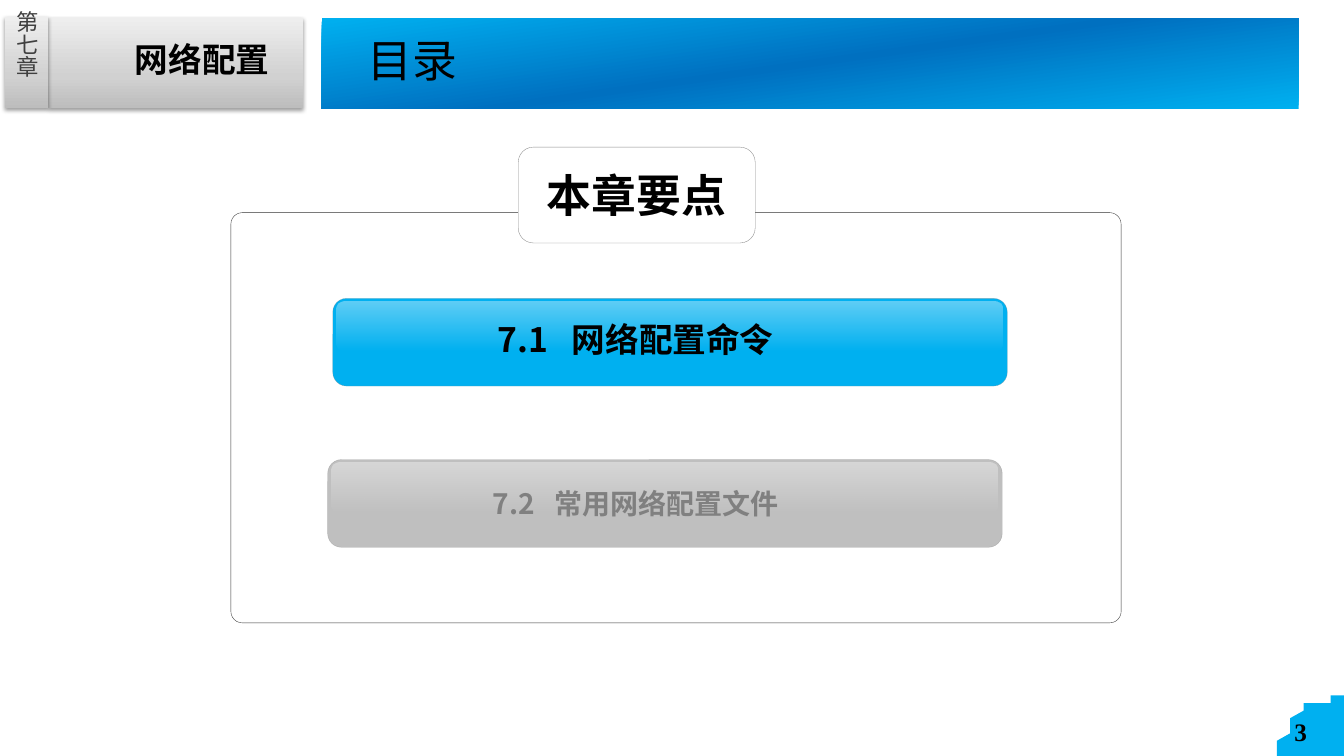
"""Build the chapter seven contents slide, with lengths in percent of the slide."""
import math

import pptx
import pptx.util
import pptx.dml.color
import pptx.enum.shapes
import pptx.enum.text
import pptx.oxml
import pptx.oxml.ns
from lxml import etree

THEME = {
    "font": "Noto Sans CJK SC", "number_font": "Times New Roman",
    "black": "000000", "white": "FFFFFF", "dark": "404040", "muted": "808080",
    "outline": "333333", "bar_outline": "969696", "cyan": "00B0F0", "grey": "BFBFBF",
    "silver": [(0, "BDBDBD", 100), (35, "D1D1D1", 100), (100, "EEEEEE", 100)],
    "ocean": [(0, "00B0F0", 100), (50, "0070C0", 100), (100, "00B0F0", 100)],
    "gloss": [(0, "FFFFFF", 38), (100, "FFFFFF", 0)],
    "heading": 32, "title": 24, "entry": 20, "number": 18, "side": 16,
}
SHAPES = pptx.enum.shapes.MSO_SHAPE
MIDDLE = pptx.enum.text.MSO_ANCHOR.MIDDLE
CENTER = pptx.enum.text.PP_ALIGN.CENTER
qn = pptx.oxml.ns.qn
rgb = pptx.dml.color.RGBColor.from_string

deck = pptx.Presentation()
deck.slide_width = pptx.util.Inches(13.33)
deck.slide_height = pptx.util.Inches(7.5)
page = deck.slides.add_slide(deck.slide_layouts[6])
column, row = deck.slide_width / 100, deck.slide_height / 100


def add_block(place, fill=None, angle=0, rounding=None, line=None, line_alpha=100):
    """Add a rectangle with a solid or gradient fill; rounding gives round corners."""
    left, top, width, height = place
    preset = SHAPES.RECTANGLE if rounding is None else SHAPES.ROUNDED_RECTANGLE
    block = page.shapes.add_shape(preset, int(left * column), int(top * row),
                                  int(width * column), int(height * row))
    block.shadow.inherit = False
    if rounding is not None:
        block.adjustments[0] = rounding
    if fill is None:
        block.fill.background()
    elif isinstance(fill, str):
        block.fill.solid()
        block.fill.fore_color.rgb = rgb(fill)
    else:
        block.fill.gradient()
        gradient = block._element.spPr.find(qn("a:gradFill"))
        stops = gradient.find(qn("a:gsLst"))
        for stop in list(stops):
            stops.remove(stop)
        for position, color, alpha in fill:
            stop = etree.SubElement(stops, qn("a:gs"), pos=str(position * 1000))
            tint = etree.SubElement(stop, qn("a:srgbClr"), val=color)
            etree.SubElement(tint, qn("a:alpha"), val=str(alpha * 1000))
        gradient.find(qn("a:lin")).set("ang", str(angle * 60000))
    if line is None:
        block.line.fill.background()
    else:
        block.line.width = pptx.util.Pt(0.25)
        block.line.color.rgb = rgb(line)
        tint = block.line._ln.find(".//" + qn("a:srgbClr"))
        etree.SubElement(tint, qn("a:alpha"), val=str(line_alpha * 1000))
    return block


def add_text(place, text, size, color="black", bold=True, font="font", inset=0.1, tab=None):
    """Add a one-line text box and return it."""
    left, top, width, height = place
    box = page.shapes.add_textbox(int(left * column), int(top * row),
                                  int(width * column), int(height * row))
    frame = box.text_frame
    frame.word_wrap = True
    frame.margin_left = frame.margin_right = pptx.util.Inches(inset)
    frame.margin_top = frame.margin_bottom = pptx.util.Inches(inset / 2)
    frame.text = text
    para = frame.paragraphs[0]
    if tab is not None:
        tabs = etree.SubElement(para._p.get_or_add_pPr(), qn("a:tabLst"))
        etree.SubElement(tabs, qn("a:tab"), pos=str(int(tab * column)), algn="l")
    for span in para.runs:
        span.font.name = THEME[font]
        span.font.size = pptx.util.Pt(THEME[size])
        span.font.bold = bold
        span.font.color.rgb = rgb(THEME[color])
        etree.SubElement(span._r.get_or_add_rPr(), qn("a:ea"), typeface=THEME[font])
    return box


for place in [(3.6, 2.4, 18.98, 11.87), (0.38, 2.27, 3.23, 12)]:
    plate = add_block(place, THEME["silver"], 270)
    effects = plate._element.spPr.find(qn("a:effectLst"))
    shadow = etree.SubElement(effects, qn("a:outerShdw"), blurRad="39370", dist="20320",
                              dir="5400000", rotWithShape="0")
    tint = etree.SubElement(shadow, qn("a:srgbClr"), val=THEME["black"])
    etree.SubElement(tint, qn("a:alpha"), val="38000")

add_text((9.3, 4.53, 13.28, 7.07), "网络配置", "title")
chapter = add_text((0.9, 1.47, 2.18, 14), "第七章", "side", "dark", bold=False, inset=0)
chapter.text_frame._txBody.bodyPr.set("vert", "eaVert")
chapter.text_frame.vertical_anchor = MIDDLE
chapter.text_frame.paragraphs[0].alignment = CENTER

arc = [math.radians(degree) for degree in range(0, 91, 3)]
corner = page.shapes.build_freeform(100, 100, scale=(column, row))
corner.add_line_segments([(100 - 4.74 * math.cos(turn), 100 - 7.87 * math.sin(turn))
                          for turn in arc])
badge = corner.convert_to_shape()
badge.shadow.inherit = False
badge.fill.solid()
badge.fill.fore_color.rgb = rgb(THEME["cyan"])
badge.line.fill.background()
add_text((95.57, 94.13, 4.4, 5.33), "3", "number", font="number_font")

add_block((23.93, 2.4, 72.69, 12), THEME["ocean"], 262)
add_text((27.38, 4.27, 9.3, 8.13), "目录", "heading", bold=False, inset=0)

add_block((17.18, 28.13, 66.24, 54.27), rounding=0.028, line=THEME["outline"])
label_place = (38.56, 19.47, 17.63, 12.67)
add_block(label_place, THEME["white"], rounding=0.157, line=THEME["outline"], line_alpha=57)
label = add_text(label_place, "本章要点", "heading")
label.text_frame.vertical_anchor = MIDDLE
label.text_frame.paragraphs[0].alignment = CENTER

entries = [
    (24.76, 39.47, 0.4, "7.1\t网络配置命令", "title", "black", "cyan", 5.5),
    (24.38, 60.8, 0.8, "7.2\t常用网络配置文件", "entry", "muted", "grey", 4.6),
]
for left, top, drop, text, size, color, fill, tab in entries:
    add_block((left, top, 50.19, 11.6), THEME[fill], rounding=0.157,
              line=THEME["bar_outline"], line_alpha=57)
    add_block((left + 0.3, top + 0.4, 49.51, 6.53), THEME["gloss"], 90, rounding=0.143)
    entry = add_text((left + 11.55, top + drop, 31.36, 10), text, size, color, tab=tab)
    entry.text_frame.vertical_anchor = MIDDLE

deck.save("out.pptx")
